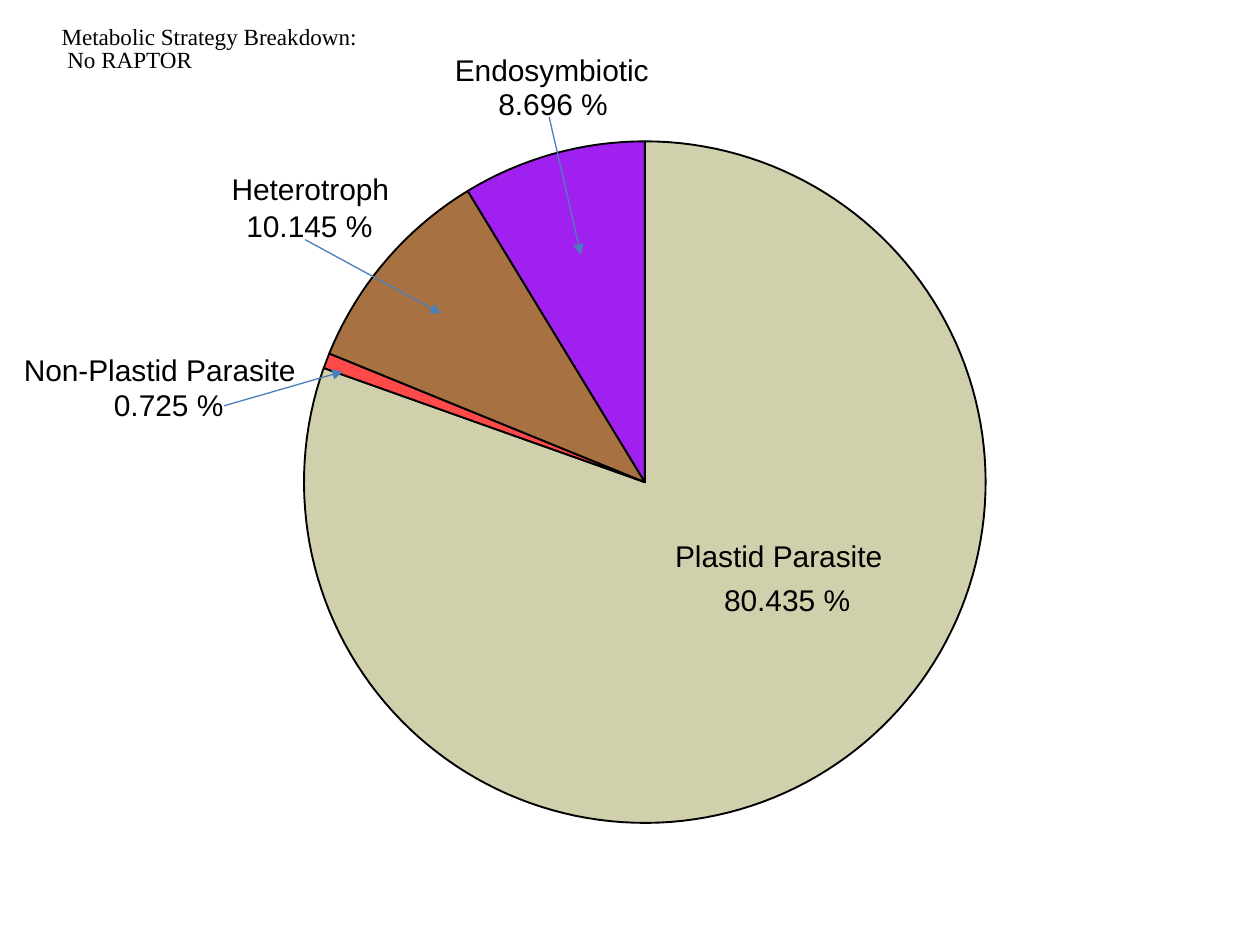
import math
from dataclasses import dataclass
from typing import NamedTuple, Optional

import pptx
import pptx.dml.color
import pptx.enum.shapes
import pptx.enum.text
import pptx.oxml
import pptx.oxml.ns
import pptx.util

Cm = pptx.util.Cm
Pt = pptx.util.Pt


@dataclass(frozen=True)
class Theme:
    text: str = "000000"
    outline: str = "000000"
    arrow: str = "4B7EBC"
    label_font: str = "Arial"
    title_font: str = "Times New Roman"
    label_size: float = 17.1
    title_size: float = 13.2
    outline_width: float = 1.07
    arrow_width: float = 0.75


class Box(NamedTuple):
    """Lengths in centimetres."""
    left: float
    top: float
    width: float
    height: float


class Arrow(NamedTuple):
    """End points in centimetres."""
    from_x: float
    from_y: float
    to_x: float
    to_y: float


@dataclass(frozen=True)
class PieSlice:
    name: str
    percent: float
    colour: str
    name_box: Box
    value_box: Box
    arrow: Optional[Arrow] = None


THEME = Theme()
CENTRE_X, CENTRE_Y, RADIUS = 13.0, 9.72, 6.87
DEGREES_PER_STEP = 2
TITLE_BOX = Box(1.24, 0.79, 5.97, 0.43)

# Clockwise from twelve o'clock
SLICES = [
    PieSlice("Plastid Parasite", 80.435, "D0D1AC",
             Box(13.61, 11.05, 4.34, 0.43), Box(14.43, 11.91, 2.72, 0.46)),
    PieSlice("Non-Plastid Parasite", 0.725, "FE4A49",
             Box(0.48, 7.29, 5.66, 0.43), Box(2.13, 7.98, 2.39, 0.46),
             Arrow(4.52, 8.18, 6.91, 7.49)),
    PieSlice("Heterotroph", 10.145, "A87142",
             Box(4.67, 3.58, 3.35, 0.56), Box(4.8, 4.37, 2.72, 0.46),
             Arrow(6.15, 4.83, 8.89, 6.32)),
    PieSlice("Endosymbiotic", 8.696, "A020F0",
             Box(9.17, 1.19, 4.09, 0.56), Box(9.88, 1.91, 2.39, 0.46),
             Arrow(11.07, 2.36, 11.71, 5.13)),
]


def rgb(colour: str) -> pptx.dml.color.RGBColor:
    return pptx.dml.color.RGBColor.from_string(colour)


def write_text(shape, text: str, *, font: str, size: float, colour: str) -> None:
    """Fill a shape with unwrapped text, one paragraph per line of the string."""
    frame = shape.text_frame
    frame.text = text
    frame.word_wrap = False
    frame.auto_size = pptx.enum.text.MSO_AUTO_SIZE.NONE
    frame.vertical_anchor = pptx.enum.text.MSO_ANCHOR.MIDDLE
    frame.margin_left = frame.margin_top = 0
    frame.margin_right = frame.margin_bottom = 0
    for paragraph in frame.paragraphs:
        paragraph.alignment = pptx.enum.text.PP_ALIGN.LEFT
        paragraph.line_spacing = Pt(size)
        paragraph.space_before = Pt(0)
        for run in paragraph.runs:
            run.font.name = font
            run.font.size = Pt(size)
            run.font.color.rgb = rgb(colour)


def place_title(slide, text: str, box: Box) -> None:
    title = slide.shapes.title
    title.left, title.top, title.width, title.height = map(Cm, box)
    write_text(title, text, font=THEME.title_font, size=THEME.title_size,
               colour=THEME.text)


def add_label(slide, text: str, box: Box) -> None:
    shape = slide.shapes.add_textbox(*map(Cm, box))
    write_text(shape, text, font=THEME.label_font, size=THEME.label_size,
               colour=THEME.text)


def rim_point(degrees: float) -> tuple[int, int]:
    """Point on the rim, measured clockwise from twelve o'clock."""
    angle = math.radians(degrees)
    return (Cm(CENTRE_X + RADIUS * math.sin(angle)),
            Cm(CENTRE_Y - RADIUS * math.cos(angle)))


def add_slice(slide, start: float, sweep: float, colour: str) -> None:
    steps = math.ceil(sweep / DEGREES_PER_STEP)
    rim = [rim_point(start + sweep * step / steps) for step in range(steps + 1)]
    builder = slide.shapes.build_freeform(Cm(CENTRE_X), Cm(CENTRE_Y))
    builder.add_line_segments(rim, close=True)
    shape = builder.convert_to_shape()
    shape.shadow.inherit = False
    shape.fill.solid()
    shape.fill.fore_color.rgb = rgb(colour)
    shape.line.color.rgb = rgb(THEME.outline)
    shape.line.width = Pt(THEME.outline_width)


def add_arrow(slide, arrow: Arrow) -> None:
    connector = slide.shapes.add_connector(
        pptx.enum.shapes.MSO_CONNECTOR.STRAIGHT, *map(Cm, arrow))
    connector.line.color.rgb = rgb(THEME.arrow)
    connector.line.width = Pt(THEME.arrow_width)
    properties = connector._element.spPr
    line = properties.find(pptx.oxml.ns.qn("a:ln"))
    namespace = pptx.oxml.ns.nsdecls("a")
    line.append(pptx.oxml.parse_xml(f'<a:tailEnd {namespace} type="triangle"/>'))
    properties.append(pptx.oxml.parse_xml(f"<a:effectLst {namespace}/>"))


def main() -> None:
    presentation = pptx.Presentation()
    presentation.slide_width = Cm(25.4)
    presentation.slide_height = Cm(19.05)
    slide = presentation.slides.add_slide(presentation.slide_layouts[5])
    place_title(slide, "Metabolic Strategy Breakdown:\n No RAPTOR", TITLE_BOX)

    total = sum(part.percent for part in SLICES)
    start = 0.0
    for part in SLICES:
        sweep = 360 * part.percent / total
        add_slice(slide, start, sweep, part.colour)
        start += sweep
    for part in SLICES:
        add_label(slide, part.name, part.name_box)
        add_label(slide, f" {part.percent:.3f} %", part.value_box)
    for part in SLICES:
        if part.arrow:
            add_arrow(slide, part.arrow)

    presentation.save("out.pptx")


if __name__ == "__main__":
    main()
